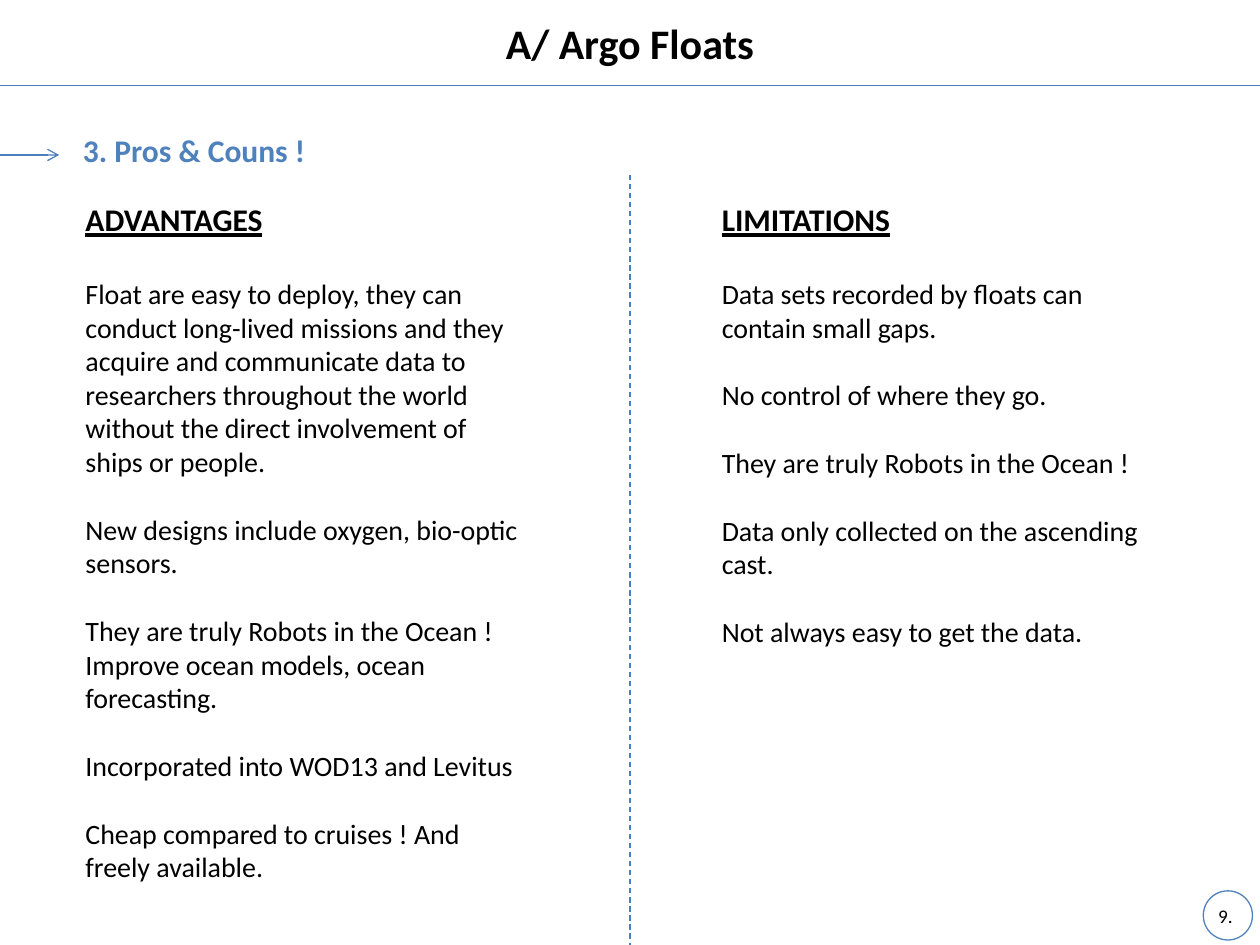
from lxml import etree
from pptx import Presentation
from pptx.dml.color import RGBColor
from pptx.enum.dml import MSO_LINE
from pptx.enum.shapes import MSO_CONNECTOR, MSO_SHAPE
from pptx.enum.text import MSO_ANCHOR, PP_ALIGN
from pptx.oxml.ns import qn
from pptx.util import Inches, Pt

STRAIGHT = MSO_CONNECTOR.STRAIGHT
OVAL = MSO_SHAPE.OVAL
DASH = MSO_LINE.DASH
TOP, MIDDLE = MSO_ANCHOR.TOP, MSO_ANCHOR.MIDDLE
LEFT, CENTER = PP_ALIGN.LEFT, PP_ALIGN.CENTER

COLORS = {"text": "000000", "accent": "4F81BD", "rule": "4B7EBC", "paper": "FFFFFF"}
FONT = "Calibri"
WIDTH, HEIGHT = 10, 7.5
HEADER_HEIGHT = 0.68
COLUMN_TOP, COLUMN_WIDTH = 1.54, 3.71
HEADING_GAP, ITEM_GAP = 22, 19.5

# Each group is a list of lines that stand together without a gap.
ADVANTAGES = [
    ["Float are easy to deploy, they can conduct long-lived missions and they "
     "acquire and communicate data to researchers throughout the world without "
     "the direct involvement of ships or people."],
    ["New designs include oxygen, bio-optic sensors."],
    ["They are truly Robots in the Ocean !", "Improve ocean models, ocean forecasting."],
    ["Incorporated into WOD13 and Levitus"],
    ["Cheap compared to cruises ! And freely available."],
]
LIMITATIONS = [
    ["Data sets recorded by floats can contain small gaps."],
    ["No control of where they go."],
    ["They are truly Robots in the Ocean !"],
    ["Data only collected on the ascending cast."],
    ["Not always easy to get the data."],
]


def rgb(name):
    return RGBColor.from_string(COLORS[name])


def add_text_frame(slide, box, anchor=TOP):
    frame = slide.shapes.add_textbox(*map(Inches, box)).text_frame
    frame.word_wrap = True
    frame.vertical_anchor = anchor
    return frame


def write(paragraph, text, size, color="text", bold=False, underline=False,
          align=LEFT, gap=0):
    paragraph.alignment = align
    if gap:
        paragraph.space_before = Pt(gap)
    run = paragraph.add_run()
    run.text = text
    font = run.font
    font.name, font.size = FONT, Pt(size)
    font.bold, font.underline = bold, underline
    font.color.rgb = rgb(color)


def add_rule(slide, start, end, dash=None, arrow=False):
    rule = slide.shapes.add_connector(STRAIGHT, *map(Inches, (*start, *end)))
    rule.line.color.rgb = rgb("rule")
    rule.line.width = Pt(0.75)
    if dash:
        rule.line.dash_style = dash
    properties = rule.line._get_or_add_ln()
    if arrow:
        etree.SubElement(properties, qn("a:tailEnd"), type="arrow")
    etree.SubElement(properties.getparent(), qn("a:effectLst"))


def add_header(slide, box):
    left, top, width, height = box
    frame = add_text_frame(slide, box, MIDDLE)
    write(frame.paragraphs[0], "A/ Argo Floats", 24, bold=True, align=CENTER)
    add_rule(slide, (left, top + height), (left + width, top + height))


def add_section_heading(slide, box):
    """Place the heading with an arrow running to it from the slide's edge."""
    left, top, _, _ = box
    arrow_y = top + 0.24
    add_rule(slide, (0, arrow_y), (left - 0.09, arrow_y), arrow=True)
    frame = add_text_frame(slide, box)
    write(frame.paragraphs[0], "3. Pros & Couns !", 18, "accent", bold=True)


def add_column(slide, box, heading, groups):
    frame = add_text_frame(slide, box)
    write(frame.paragraphs[0], heading, 18, bold=True, underline=True)
    for group_index, group in enumerate(groups):
        group_gap = ITEM_GAP if group_index else HEADING_GAP
        for line_index, line in enumerate(group):
            write(frame.add_paragraph(), line, 16, gap=0 if line_index else group_gap)


def add_page_number(slide, box):
    left, top, diameter, _ = box
    badge = slide.shapes.add_shape(OVAL, *map(Inches, box))
    badge.shadow.inherit = False
    badge.fill.solid()
    badge.fill.fore_color.rgb = rgb("paper")
    badge.line.color.rgb = rgb("accent")
    badge.line.width = Pt(0.75)
    frame = add_text_frame(slide, (left + 0.02, top + 0.06, diameter + 0.12, 0.29))
    write(frame.paragraphs[0], "9.", 11)


def main():
    deck = Presentation()
    deck.slide_width, deck.slide_height = Inches(WIDTH), Inches(HEIGHT)
    slide = deck.slides.add_slide(deck.slide_layouts[6])

    add_header(slide, (0, 0, WIDTH, HEADER_HEIGHT))
    add_page_number(slide, (9.55, 7.07, 0.39, 0.39))
    add_section_heading(slide, (0.56, 0.99, 4.41, 0.4))
    add_column(slide, (0.58, COLUMN_TOP, COLUMN_WIDTH, 5.55), "ADVANTAGES", ADVANTAGES)
    add_column(slide, (5.63, COLUMN_TOP, COLUMN_WIDTH, 3.67), "LIMITATIONS", LIMITATIONS)
    add_rule(slide, (WIDTH / 2, 1.39), (WIDTH / 2, HEIGHT), dash=DASH)

    deck.save("out.pptx")


if __name__ == "__main__":
    main()
